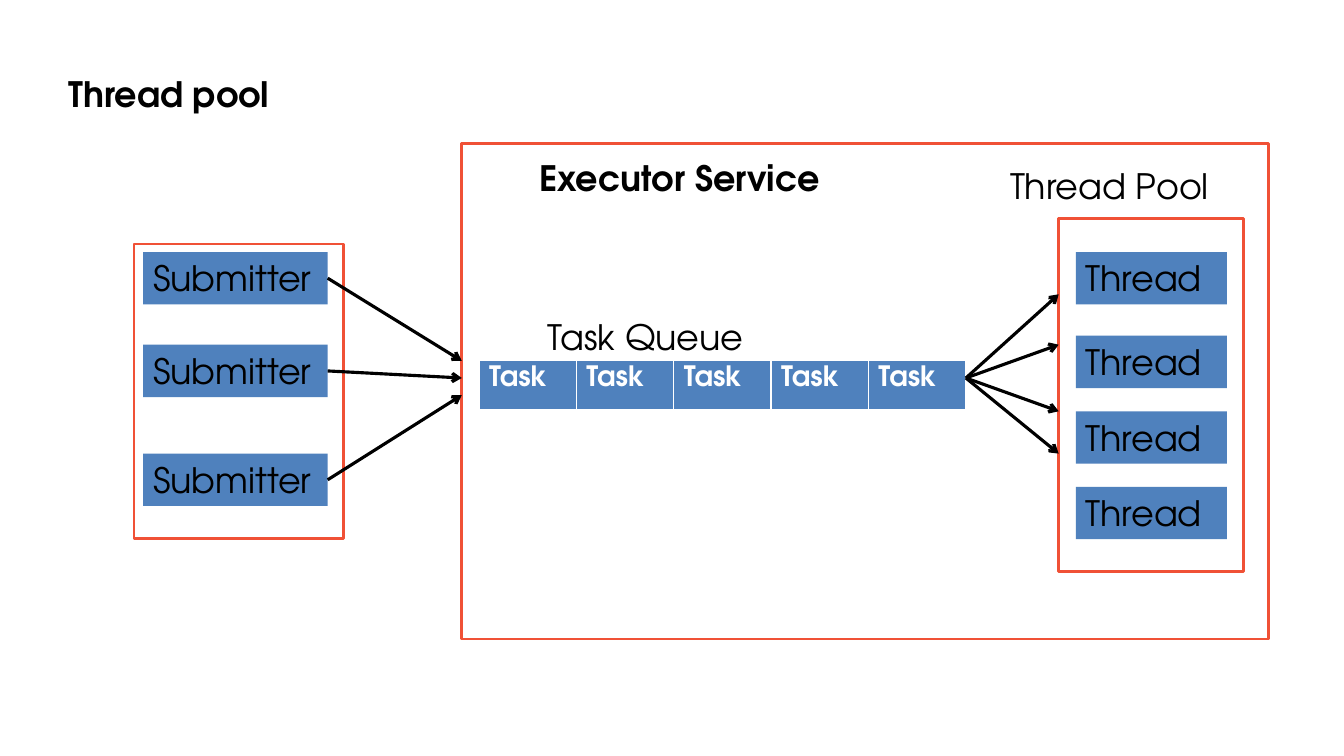
from dataclasses import dataclass
from typing import Any

import lxml.etree
import pptx
import pptx.dml.color
import pptx.enum.shapes
import pptx.enum.text
import pptx.oxml.ns
import pptx.util

Inches = pptx.util.Inches
qn = pptx.oxml.ns.qn


@dataclass(frozen=True)
class Theme:
    font: str = "TeX Gyre Adventor"
    black: str = "000000"
    white: str = "FFFFFF"
    blue: str = "4F81BD"
    red: str = "F05136"
    large: float = 25
    small: float = 20
    edge: float = 2
    arrow: float = 2.25


@dataclass(frozen=True)
class Box:
    left: float
    top: float
    width: float
    height: float = 0.52
    text: str = ""
    bold: bool = False

    def place(self) -> tuple:
        return tuple(Inches(n) for n in (self.left, self.top, self.width, self.height))


@dataclass(frozen=True)
class Arrow:
    start: tuple[float, float]
    end: tuple[float, float]
    source: Any = None


THEME = Theme()


def color(code: str) -> pptx.dml.color.RGBColor:
    return pptx.dml.color.RGBColor.from_string(code)


def write(frame: Any, text: str, size: float, code: str, bold: bool) -> None:
    part = frame.paragraphs[0]
    part.alignment = pptx.enum.text.PP_ALIGN.LEFT
    run = part.add_run()
    run.text = text
    run.font.name = THEME.font
    run.font.size = pptx.util.Pt(size)
    run.font.bold = bold
    run.font.color.rgb = color(code)


def label(shape: Any, box: Box) -> None:
    frame = shape.text_frame
    frame.word_wrap = True
    frame.auto_size = pptx.enum.text.MSO_AUTO_SIZE.SHAPE_TO_FIT_TEXT
    frame.vertical_anchor = pptx.enum.text.MSO_ANCHOR.TOP
    write(frame, box.text, THEME.large, THEME.black, box.bold)


def add_title(slide: Any, box: Box) -> None:
    title = slide.shapes.title
    title.left, title.top, title.width, title.height = box.place()
    label(title, box)


def add_text(slide: Any, box: Box) -> None:
    label(slide.shapes.add_textbox(*box.place()), box)


def add_rect(slide: Any, box: Box) -> Any:
    shape = slide.shapes.add_shape(pptx.enum.shapes.MSO_SHAPE.RECTANGLE, *box.place())
    shape.shadow.inherit = False
    return shape


def add_frame(slide: Any, box: Box) -> None:
    shape = add_rect(slide, box)
    shape.fill.background()
    shape.line.color.rgb = color(THEME.red)
    shape.line.width = pptx.util.Pt(THEME.edge)


def add_node(slide: Any, box: Box) -> Any:
    shape = add_rect(slide, box)
    shape.fill.solid()
    shape.fill.fore_color.rgb = color(THEME.blue)
    shape.line.fill.background()
    label(shape, box)
    return shape


def add_arrow(slide: Any, arrow: Arrow) -> None:
    ends = [Inches(n) for n in (*arrow.start, *arrow.end)]
    line = slide.shapes.add_connector(pptx.enum.shapes.MSO_CONNECTOR.STRAIGHT, *ends)
    if arrow.source is not None:
        line.begin_connect(arrow.source, 3)
    line.line.color.rgb = color(THEME.black)
    line.line.width = pptx.util.Pt(THEME.arrow)
    props = line._element.spPr
    lxml.etree.SubElement(props.find(qn("a:ln")), qn("a:tailEnd"), type="arrow")
    lxml.etree.SubElement(props, qn("a:effectLst"))


def set_edge(cell: Any, side: str, width: float) -> None:
    props = cell._tc.get_or_add_tcPr()
    line = lxml.etree.SubElement(props, qn(f"a:{side}"), w=str(pptx.util.Pt(width)))
    fill = lxml.etree.SubElement(line, qn("a:solidFill"))
    lxml.etree.SubElement(fill, qn("a:srgbClr"), val=THEME.white)


def add_queue(slide: Any, box: Box, count: int) -> None:
    table = slide.shapes.add_table(1, count, *box.place()).table
    for cell in table.iter_cells():
        # Borders come before the fill in the cell's XML
        for side, width in (("lnL", 1), ("lnR", 1), ("lnT", 1), ("lnB", 3)):
            set_edge(cell, side, width)
        cell.fill.solid()
        cell.fill.fore_color.rgb = color(THEME.blue)
        write(cell.text_frame, box.text, THEME.small, THEME.white, True)


def main() -> None:
    deck = pptx.Presentation()
    deck.slide_width, deck.slide_height = Inches(13.33), Inches(7.5)
    slide = deck.slides.add_slide(deck.slide_layouts[5])
    add_title(slide, Box(0.58, 0.67, 12.09, text="Thread pool", bold=True))

    # Submitters
    add_frame(slide, Box(1.33, 2.42, 2.08, 2.92))
    nodes = [add_node(slide, Box(1.42, top, 1.83, text="Submitter"))
             for top in (2.5, 3.42, 4.5)]

    # Executor service and its queue
    add_frame(slide, Box(4.58, 1.42, 8, 4.92))
    add_queue(slide, Box(4.75, 3.58, 4.83, 0.5, "Task"), 5)
    for node, start, end in zip(nodes, (2.76, 3.68, 4.76), (3.58, 3.75, 3.92)):
        add_arrow(slide, Arrow((3.25, start), (4.58, end), node))
    add_text(slide, Box(5.25, 1.5, 4, text="Executor Service", bold=True))
    add_text(slide, Box(5.33, 3.08, 2.83, text="Task Queue"))

    # Thread pool
    add_frame(slide, Box(10.5, 2.17, 1.83, 3.5))
    for top in (2.5, 3.33, 4.08, 4.83):
        add_node(slide, Box(10.67, top, 1.5, text="Thread"))
    add_text(slide, Box(9.92, 1.58, 2.67, text="Thread Pool"))
    for end in (2.92, 3.42, 4.08, 4.5):
        add_arrow(slide, Arrow((9.58, 3.75), (10.5, end)))

    deck.save("out.pptx")


if __name__ == "__main__":
    main()
